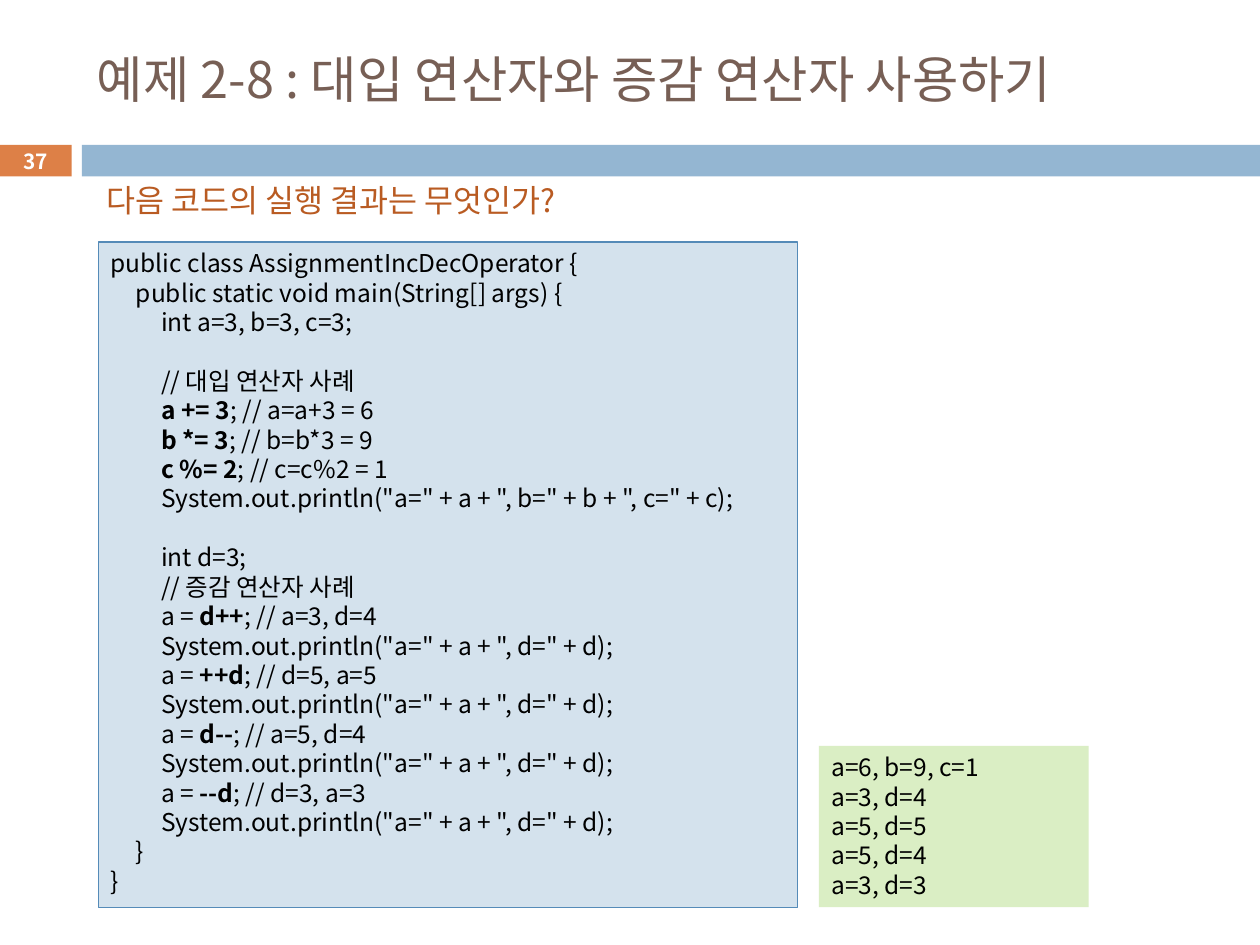
from lxml import etree
from pptx import Presentation, util as u
from pptx.dml.color import RGBColor
from pptx.enum import shapes, text
from pptx.oxml.ns import qn

FONT = "Noto Sans CJK KR"
COLORS = {
    "title": "775F55", "accent": "DD8047", "band": "94B6D2",
    "question": "B95B22", "code": "D4E2ED", "code_line": "558BB8",
    "output": "DAEEC4", "ink": "000000", "white": "FFFFFF",
}
CELL = 0.1  # inches: the slide is a grid of 100 columns by 75 rows
TAB = 0.2   # inches per level of code indent

# Double asterisks enclose bold text
PRINT_AD = '\t\tSystem.out.println("a=" + a + ", d=" + d);'
CODE = [
    "public class AssignmentIncDecOperator {",
    "\tpublic static void main(String[] args) {",
    "\t\tint a=3, b=3, c=3;",
    "",
    "\t\t// 대입 연산자 사례",
    "\t\t**a += 3**; // a=a+3 = 6",
    "\t\t**b *= 3**; // b=b*3 = 9",
    "\t\t**c %= 2**; // c=c%2 = 1",
    '\t\tSystem.out.println("a=" + a + ", b=" + b + ", c=" + c);',
    "",
    "\t\tint d=3;",
    "\t\t// 증감 연산자 사례",
    "\t\ta = **d++**; // a=3, d=4",
    PRINT_AD,
    "\t\ta = **++d**; // d=5, a=5",
    PRINT_AD,
    "\t\ta = **d--**; // a=5, d=4",
    PRINT_AD,
    "\t\ta = **--d**; // d=3, a=3",
    PRINT_AD,
    "\t}",
    "}",
]
OUTPUT = ["a=6, b=9, c=1", "a=3, d=4", "a=5, d=5", "a=5, d=4", "a=3, d=3"]


def grid(box):
    return [u.Inches(cells * CELL) for cells in box]


def color(name):
    return RGBColor.from_string(COLORS[name])


def add_panel(slide, box, fill, line=None):
    shape = slide.shapes.add_shape(shapes.MSO_SHAPE.RECTANGLE, *grid(box))
    shape.shadow.inherit = False
    shape.fill.solid()
    shape.fill.fore_color.rgb = color(fill)
    if line:
        shape.line.color.rgb = color(line)
        shape.line.width = u.Pt(0.75)
    else:
        shape.line.fill.background()
    return shape


def add_tab_stops(paragraph, count=2):
    properties = paragraph._p.get_or_add_pPr()
    stops = etree.SubElement(properties, qn("a:tabLst"))
    for level in range(1, count + 1):
        etree.SubElement(stops, qn("a:tab"), pos=str(u.Inches(TAB * level)), algn="l")


def write(shape, lines, size=14, ink="ink", bold=False, wrap=True, spacing=None,
          align=text.PP_ALIGN.LEFT, anchor=text.MSO_ANCHOR.TOP, tabs=False):
    frame = shape.text_frame
    frame.word_wrap = wrap
    frame.vertical_anchor = anchor
    for index, line in enumerate(lines):
        paragraph = frame.paragraphs[0] if index == 0 else frame.add_paragraph()
        paragraph.alignment = align
        if spacing:
            paragraph.line_spacing = u.Pt(spacing)
        if tabs:
            add_tab_stops(paragraph)
        paragraph.font.size = u.Pt(size)
        for part, content in enumerate(line.split("**")):
            if not content:
                continue
            run = paragraph.add_run()
            run.text = content
            run.font.name = FONT
            run.font.size = u.Pt(size)
            run.font.bold = bold or part % 2 == 1
            run.font.color.rgb = color(ink)
            etree.SubElement(run._r.rPr, qn("a:ea"), typeface=FONT)


def add_heading(slide, box):
    write(slide.shapes.add_textbox(*grid(box)),
          ["예제 2-8 : 대입 연산자와 증감 연산자 사용하기"],
          size=28.8, ink="title", anchor=text.MSO_ANCHOR.MIDDLE)


def add_band(slide, box, number):
    left, top, width, height = box
    number_width, gap = 5.7, 0.8
    start = number_width + gap
    badge = add_panel(slide, (left, top, number_width, height), "accent")
    badge.text_frame.margin_top = badge.text_frame.margin_bottom = 0
    write(badge, [number], size=11.9, ink="white", bold=True,
          align=text.PP_ALIGN.CENTER, anchor=text.MSO_ANCHOR.MIDDLE)
    add_panel(slide, (left + start, top, width - start, height), "band")


def add_question(slide, box):
    write(slide.shapes.add_textbox(*grid(box)), ["다음 코드의 실행 결과는 무엇인가?"],
          size=18, ink="question", wrap=False)


def add_code(slide, box):
    write(add_panel(slide, box, "code", "code_line"), CODE, spacing=16.8, tabs=True)


def add_output(slide, box):
    write(add_panel(slide, box, "output"), OUTPUT, spacing=16.8)


def main():
    presentation = Presentation()
    presentation.slide_width, presentation.slide_height = grid((100, 75))
    slide = presentation.slides.add_slide(presentation.slide_layouts[6])

    # Heading and numbered band
    add_heading(slide, (6.7, 2.5, 89.2, 7.4))
    add_band(slide, (0, 11.5, 100, 2.5), "37")

    # Question, program and its output
    add_question(slide, (7.5, 13.9, 41.8, 4))
    add_code(slide, (7.8, 19.2, 55.5, 52.8))
    add_output(slide, (65, 59.2, 21.4, 12.8))

    presentation.save("out.pptx")


if __name__ == "__main__":
    main()
